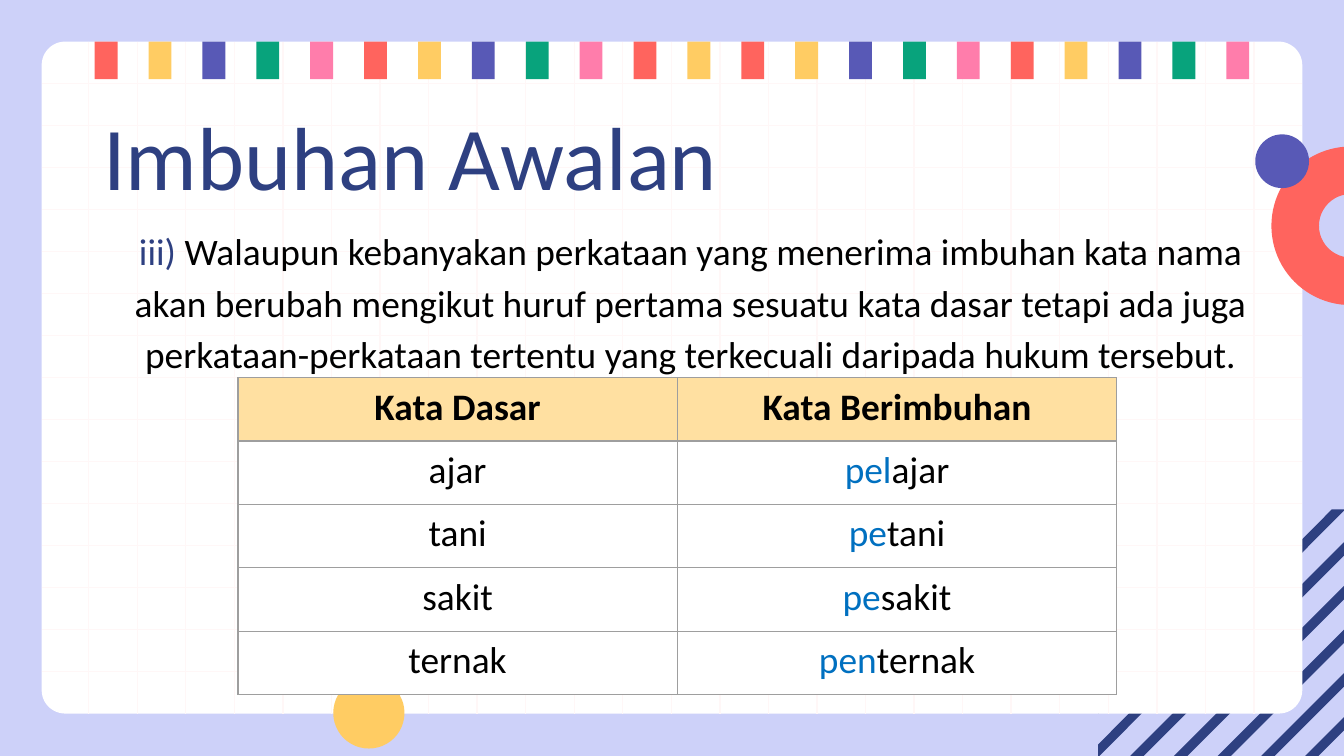
"""Build the Imbuhan Awalan lesson slide with its decorated card and word table."""
import lxml.etree
import pptx
import pptx.dml.color
import pptx.enum.shapes
import pptx.enum.text
import pptx.oxml.ns
import pptx.util

Inches = pptx.util.Inches
Pt = pptx.util.Pt
RGB = pptx.dml.color.RGBColor.from_string
qn = pptx.oxml.ns.qn
Shape = pptx.enum.shapes.MSO_SHAPE
Align = pptx.enum.text.PP_ALIGN
Anchor = pptx.enum.text.MSO_ANCHOR

theme = {
    "background": "CDD1F9", "card": "FFFFFF", "grid": "FFF7F7", "navy": "2E4081",
    "red": "FF645E", "yellow": "FFCC63", "purple": "5859B6", "green": "08A37C",
    "pink": "FF7DAB", "text": "000000", "prefix": "0070C0",
    "header": "FFE0A1", "border": "9E9E9E",
    "title_font": {"name": "Calibri", "size": Pt(48), "bold": False},
    "body_font": {"name": "Calibri", "size": Pt(20), "bold": False},
    "header_font": {"name": "Calibri", "size": Pt(20), "bold": True},
}


def paint(shape, color):
    shape.shadow.inherit = False
    shape.fill.solid()
    shape.fill.fore_color.rgb = RGB(theme[color])
    shape.line.fill.background()


def write(para, style, align, spans):
    para.alignment = align
    for text, color in spans:
        span = para.add_run()
        span.text = text
        for name, value in theme[style].items():
            setattr(span.font, name, value)
        span.font.color.rgb = RGB(theme[color])


right = 10
bottom = right * 9 / 16
deck = pptx.Presentation()
deck.slide_width, deck.slide_height = Inches(right), Inches(bottom)
page = deck.slides.add_slide(deck.slide_layouts[1])
page.background.fill.solid()
page.background.fill.fore_color.rgb = RGB(theme["background"])
shapes = page.shapes

thickness = 0.1
stripes = []
for index in range(5):
    reach = 0.29 + 1.3 * index / 4
    stripes.append([(right, bottom - reach), (right - reach, bottom),
                    (right - reach + thickness, bottom), (right, bottom - reach + thickness)])
stripes.append([(9.91, 3.79), (8.17, 5.54), (8.17, bottom), (8.18, bottom), (right, 3.8), (right, 3.79)])
stripes.append([(9.59, 3.79), (8.17, 5.21), (8.17, 5.31), (9.68, 3.79)])
for stripe in stripes:
    points = [(Inches(x), Inches(y)) for x, y in stripe]
    builder = shapes.build_freeform(*points[0])
    builder.add_line_segments(points[1:], close=True)
    paint(builder.convert_to_shape(), "navy")

card = shapes.add_shape(Shape.ROUNDED_RECTANGLE, Inches(0.31), Inches(0.31), Inches(9.38), Inches(5))
card.adjustments[0] = 0.035
paint(card, "card")

rows = [0.31 + 5 * index / 16 for index in range(1, 16)]
columns = [0.66 + 8.67 * index / 24 for index in range(25)]
grid = [(0.31, y, 9.69, y) for y in rows] + [(x, 0.31, x, 5.31) for x in columns]
for ends in grid:
    rule = shapes.add_connector(pptx.enum.shapes.MSO_CONNECTOR.STRAIGHT, *map(Inches, ends))
    rule.line.color.rgb = RGB(theme["grid"])
    rule.line.width = Pt(0.75)
    lxml.etree.SubElement(rule.element.spPr, qn("a:effectLst"))

bar_colors = ["red", "yellow", "purple", "green", "pink"]
bar_width = 0.17
for index in range(22):
    center = 0.79 + 8.42 * index / 21
    bar = shapes.add_shape(Shape.RECTANGLE, Inches(center - bar_width / 2), Inches(0.31),
                           Inches(bar_width), Inches(0.28))
    paint(bar, bar_colors[index % 12 % 5])

ring = shapes.add_shape(Shape.BLOCK_ARC, Inches(9.46), Inches(1.09), Inches(1.18), Inches(1.18))
for index, value in enumerate([54, 162, 0.3]):
    ring.adjustments[index] = value
paint(ring, "red")
for left, top, size, color in [(2.48, 5.04, 0.53, "yellow"), (9.34, 1, 0.4, "purple")]:
    dot = shapes.add_shape(Shape.OVAL, Inches(left), Inches(top), Inches(size), Inches(size))
    paint(dot, color)

title, body = shapes.title, page.placeholders[1]
frame_format = {
    "margin_left": Inches(0.1), "margin_right": Inches(0.1),
    "margin_top": Inches(0.1), "margin_bottom": Inches(0.1),
    "vertical_anchor": Anchor.TOP, "word_wrap": True,
    "auto_size": pptx.enum.text.MSO_AUTO_SIZE.NONE,
}
for box, place in [(title, (0.67, 0.65, 8.43, 0.63)), (body, (0.59, 1.55, 8.95, 3.54))]:
    shapes.element.append(box.element)
    for name, value in zip(("left", "top", "width", "height"), place):
        setattr(box, name, Inches(value))
    for name, value in frame_format.items():
        setattr(box.text_frame, name, value)

write(title.text_frame.paragraphs[0], "title_font", Align.LEFT, [("Imbuhan Awalan", "navy")])
para = body.text_frame.paragraphs[0]
write(para, "body_font", Align.CENTER, [
    ("iii) ", "navy"),
    ("Walaupun kebanyakan perkataan yang menerima imbuhan kata nama akan berubah mengikut "
     "huruf pertama sesuatu kata dasar tetapi ada juga perkataan-perkataan tertentu yang "
     "terkecuali daripada hukum tersebut.", "text"),
])
para.line_spacing, para.space_before = 1.15, Pt(0)
properties = para._p.get_or_add_pPr()
properties.set("marL", str(Inches(0.15)))
properties.set("indent", "0")
lxml.etree.SubElement(properties, qn("a:buNone"))

words = [("pel", "ajar"), ("pe", "tani"), ("pe", "sakit"), ("pen", "ternak")]
table_rows = [([("Kata Dasar", "text")], [("Kata Berimbuhan", "text")])]
for prefix, root in words:
    table_rows.append(([(root, "text")], [(prefix, "prefix"), (root, "text")]))
table = shapes.add_table(len(table_rows), 2, Inches(1.77), Inches(2.81), Inches(6.54), Inches(2.36)).table
table.horz_banding = False
for row, contents in enumerate(table_rows):
    for column, spans in enumerate(contents):
        cell = table.cell(row, column)
        cell.vertical_anchor = Anchor.MIDDLE
        cell.margin_bottom = Inches(0.08)
        write(cell.text_frame.paragraphs[0], "body_font" if row else "header_font", Align.CENTER, spans)
        cell_properties = cell._tc.get_or_add_tcPr()
        for side in ("lnL", "lnR", "lnT", "lnB"):
            edge = lxml.etree.SubElement(cell_properties, qn(f"a:{side}"), w=str(Pt(0.75)))
            edge_fill = lxml.etree.SubElement(edge, qn("a:solidFill"))
            lxml.etree.SubElement(edge_fill, qn("a:srgbClr"), val=theme["border"])
        cell.fill.solid()
        cell.fill.fore_color.rgb = RGB(theme["card" if row else "header"])

deck.save("out.pptx")
